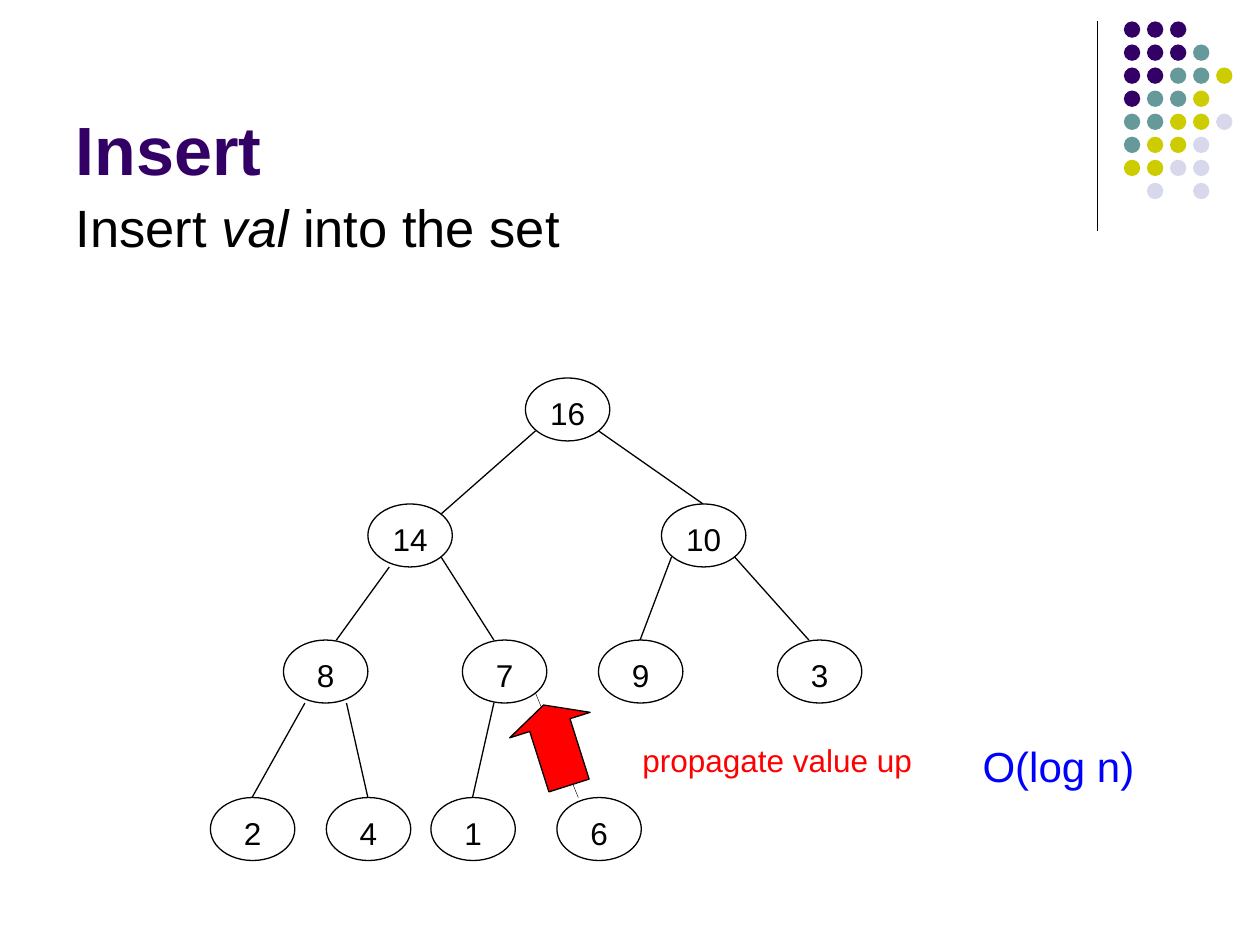
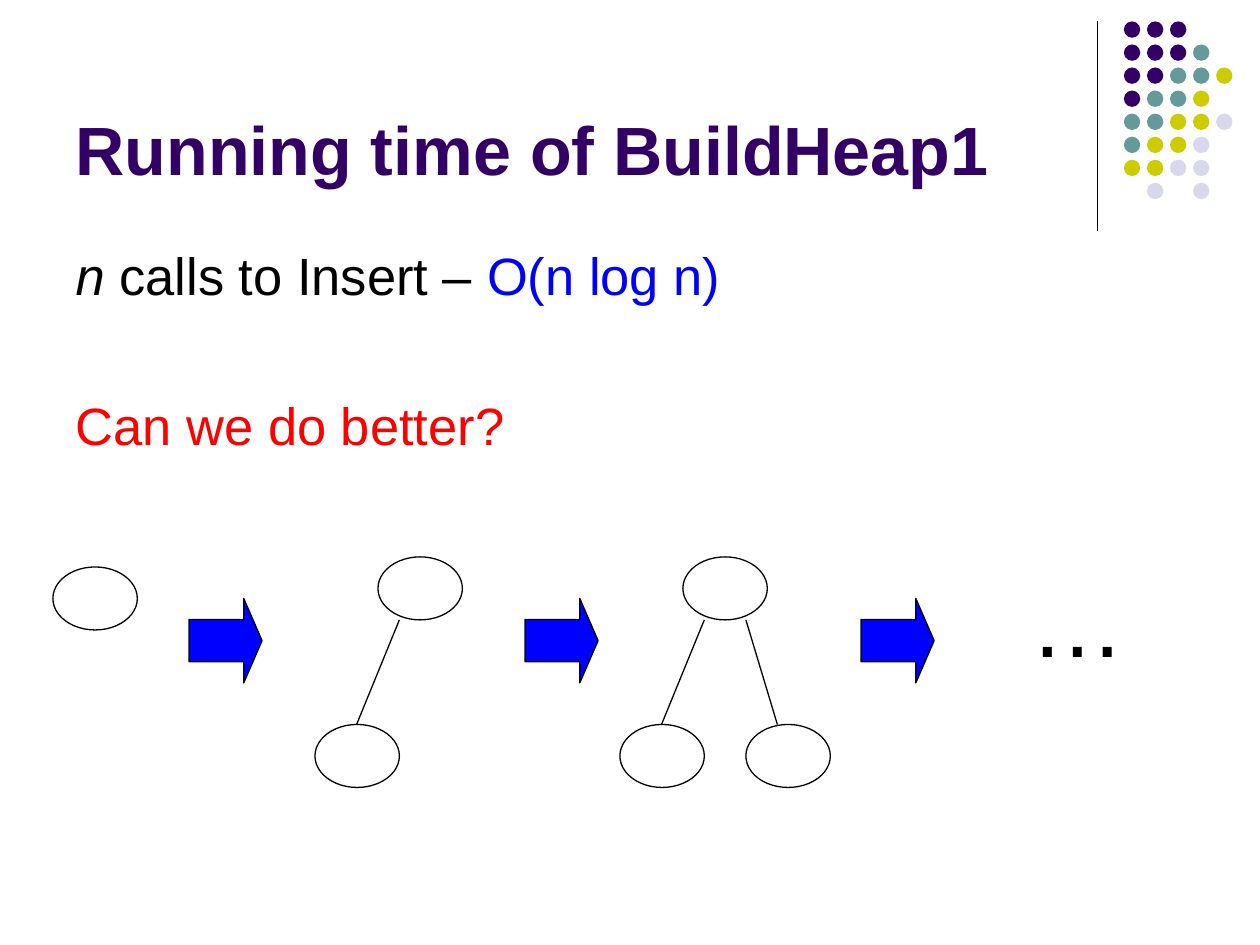
from lxml import etree
from pptx import Presentation
from pptx.dml.color import RGBColor
from pptx.enum.shapes import MSO_CONNECTOR, MSO_SHAPE
from pptx.enum.text import MSO_ANCHOR, MSO_AUTO_SIZE, PP_ALIGN
from pptx.oxml.ns import qn
from pptx.util import Inches, Pt

STRAIGHT = MSO_CONNECTOR.STRAIGHT
ELLIPSE = MSO_SHAPE.OVAL
RIGHT_ARROW = MSO_SHAPE.RIGHT_ARROW
UP_ARROW = MSO_SHAPE.UP_ARROW
TOP, MIDDLE, BOTTOM = MSO_ANCHOR.TOP, MSO_ANCHOR.MIDDLE, MSO_ANCHOR.BOTTOM
LEFT, CENTER = PP_ALIGN.LEFT, PP_ALIGN.CENTER
FIXED_SIZE = MSO_AUTO_SIZE.NONE

FONT = "Arial"
BLACK = RGBColor(0x00, 0x00, 0x00)
PURPLE = RGBColor(0x33, 0x00, 0x66)
TEAL = RGBColor(0x66, 0x99, 0x99)
OLIVE = RGBColor(0xCC, 0xCC, 0x00)
LAVENDER = RGBColor(0xD8, 0xD8, 0xEC)
RED = RGBColor(0xFF, 0x00, 0x00)
BLUE = RGBColor(0x00, 0x00, 0xFF)

DOT_COLORS = {"P": PURPLE, "T": TEAL, "O": OLIVE, "L": LAVENDER}
DOT_ROWS = ["PPP", "PPPT", "PPTTO", "PTTO", "TTOOL", "TOOL", "OOLL", " L L"]
DOT_PITCH = 0.183
DOT_SIZE = 0.13

NODE_WIDTH, NODE_HEIGHT = 0.67, 0.5
LOWER_LEFT, LOWER_RIGHT = (0.08, 0.42), (0.58, 0.42)
BOTTOM_LEFT, BOTTOM_INNER, BOTTOM_RIGHT = (0.17, 0.5), (0.25, 0.5), (0.5, 0.5)
TOP_OUTER, TOP_LEFT, TOP_MIDDLE, TOP_RIGHT = (0.17, 0), (0.25, 0), (0.33, 0), (0.42, 0)
UPPER_RIGHT = (0.58, 0.08)

HEAP_NODES = {
    "16": (2.5, 0),
    "14": (1.25, 1), "10": (3.58, 1),
    "8": (0.58, 2.08), "7": (2, 2.08), "9": (3.08, 2.08), "3": (4.5, 2.08),
    "2": (0, 3.33), "4": (0.92, 3.33), "1": (1.75, 3.33), "6": (2.75, 3.33),
}
HEAP_EDGES = [
    ("16", LOWER_LEFT, "14", UPPER_RIGHT),
    ("16", LOWER_RIGHT, "10", TOP_MIDDLE),
    ("14", BOTTOM_LEFT, "8", TOP_RIGHT),
    ("14", LOWER_RIGHT, "7", TOP_LEFT),
    ("10", LOWER_LEFT, "9", TOP_MIDDLE),
    ("10", LOWER_RIGHT, "3", TOP_LEFT),
    ("8", BOTTOM_LEFT, "2", TOP_MIDDLE),
    ("8", BOTTOM_RIGHT, "4", TOP_MIDDLE),
    ("7", BOTTOM_INNER, "1", TOP_MIDDLE),
]
INSERTED_EDGES = [("7", LOWER_RIGHT, "6", TOP_OUTER)]

GROWING_NODES = {"root": (0, 0), "left": (-0.5, 1.33), "right": (0.5, 1.33)}
GROWING_EDGES = [
    ("root", BOTTOM_LEFT, "left", TOP_MIDDLE),
    ("root", BOTTOM_RIGHT, "right", TOP_LEFT),
]
GROWTH_STAGES = [(0, 0.08), (2.58, 0), (5, 0)]


def set_font(paragraph, size, color=BLACK, bold=False):
    font = paragraph.font
    font.name = FONT
    font.size = Pt(size)
    font.bold = bold
    font.color.rgb = color


def add_line(slide, start, end, width=0.75):
    line = slide.shapes.add_connector(STRAIGHT, *map(Inches, start + end))
    line.line.color.rgb = BLACK
    line.line.width = Pt(width)
    etree.SubElement(line._element.spPr, qn("a:effectLst"))


def add_figure(slide, kind, box, fill=None, outlined=True):
    figure = slide.shapes.add_shape(kind, *map(Inches, box))
    figure.shadow.inherit = False
    if fill is None:
        figure.fill.background()
    else:
        figure.fill.solid()
        figure.fill.fore_color.rgb = fill
    if outlined:
        figure.line.color.rgb = BLACK
        figure.line.width = Pt(0.75)
    else:
        figure.line.fill.background()
    return figure


def add_arrow(slide, kind, box, color):
    arrow = add_figure(slide, kind, box, color)
    arrow.adjustments[0] = 0.5
    arrow.adjustments[1] = 0.25
    return arrow


def add_label(slide, box, text, size, color, wrap=True):
    frame = slide.shapes.add_textbox(*map(Inches, box)).text_frame
    frame.word_wrap = wrap
    paragraph = frame.paragraphs[0]
    paragraph.text = text
    set_font(paragraph, size, color)


def add_corner_dots(slide, left, top):
    add_line(slide, (left, top), (left, top + 1.66))
    for row, codes in enumerate(DOT_ROWS):
        for column, code in enumerate(codes):
            if code in DOT_COLORS:
                box = (left + 0.21 + column * DOT_PITCH, top + row * DOT_PITCH,
                       DOT_SIZE, DOT_SIZE)
                add_figure(slide, ELLIPSE, box, DOT_COLORS[code], outlined=False)


def place(placeholder, box, anchor):
    placeholder.left, placeholder.top, placeholder.width, placeholder.height = map(Inches, box)
    frame = placeholder.text_frame
    frame.auto_size = FIXED_SIZE
    frame.vertical_anchor = anchor
    return frame


def fill_title(slide, text):
    frame = place(slide.shapes.title, (0.5, 0.13, 8.25, 1.42), BOTTOM)
    paragraph = frame.paragraphs[0]
    paragraph.text = text
    paragraph.alignment = LEFT
    set_font(paragraph, 39, PURPLE, bold=True)


def fill_body(slide, box, statements, gap=0):
    frame = place(slide.placeholders[1], box, TOP)
    for index, (color, pieces) in enumerate(statements):
        paragraph = frame.add_paragraph() if index else frame.paragraphs[0]
        properties = paragraph._p.get_or_add_pPr()
        properties.set("marL", "0")
        properties.set("indent", "0")
        etree.SubElement(properties, qn("a:buNone"))
        paragraph.space_before = Pt(gap if index else 0)
        set_font(paragraph, 30, color)
        for text, italic, accent in pieces:
            run = paragraph.add_run()
            run.text = text
            if italic:
                run.font.italic = True
            if accent is not None:
                run.font.color.rgb = accent


def add_node(slide, left, top, value=""):
    node = add_figure(slide, ELLIPSE, (left, top, NODE_WIDTH, NODE_HEIGHT))
    if value:
        frame = node.text_frame
        frame.word_wrap = False
        frame.vertical_anchor = MIDDLE
        frame.margin_left = frame.margin_right = frame.margin_bottom = 0
        frame.margin_top = Inches(0.06)
        paragraph = frame.paragraphs[0]
        paragraph.text = value
        paragraph.alignment = CENTER
        set_font(paragraph, 18)


def add_edges(slide, left, top, nodes, edges, width=0.75):
    def point(node, anchor):
        x, y = nodes[node]
        return left + x + anchor[0], top + y + anchor[1]

    for parent, leaving, child, entering in edges:
        add_line(slide, point(parent, leaving), point(child, entering), width)


def add_heap(slide, left, top):
    add_edges(slide, left, top, HEAP_NODES, HEAP_EDGES)
    add_edges(slide, left, top, HEAP_NODES, INSERTED_EDGES, width=0.25)
    for value, (x, y) in HEAP_NODES.items():
        add_node(slide, left + x, top + y, value)
    propagation = add_arrow(slide, UP_ARROW, (left + 2.41, top + 2.58, 0.67, 0.67), RED)
    propagation.rotation = 342.4
    add_label(slide, (left + 3.33, top + 2.83, 2.75, 0.4), "propagate value up", 18, RED)
    add_label(slide, (left + 6.03, top + 2.83, 1.42, 0.5), "O(log n)", 24, BLUE, wrap=False)


def add_growth(slide, left, top):
    for stage, (x, y) in enumerate(GROWTH_STAGES):
        root_left, root_top = left + x, top + y
        add_edges(slide, root_left, root_top, GROWING_NODES, GROWING_EDGES[:stage])
        for node_x, node_y in list(GROWING_NODES.values())[:stage + 1]:
            add_node(slide, root_left + node_x, root_top + node_y)
        arrow_left = left + 1.08 + stage * 2.667
        add_arrow(slide, RIGHT_ARROW, (arrow_left, top + 0.33, 0.58, 0.67), BLUE)
    add_label(slide, (left + 7.66, top, 1.08, 1), "…", 54, BLACK)


def start_slide(deck, title):
    slide = deck.slides.add_slide(deck.slide_layouts[1])
    add_corner_dots(slide, 8.71, 0.17)
    fill_title(slide, title)
    return slide


def build_insert(deck):
    slide = start_slide(deck, "Insert")
    fill_body(slide, (0.5, 1.5, 9, 0.75), [
        (BLACK, [("Insert ", False, None), ("val", True, None), (" into the set", False, None)]),
    ])
    add_heap(slide, 1.67, 3)


def build_running_time(deck):
    slide = start_slide(deck, "Running time of BuildHeap1")
    fill_body(slide, (0.5, 1.88, 9, 4.82), [
        (BLACK, [("n", True, None), (" calls to Insert – ", False, None),
                 ("O(n log n)", False, BLUE)]),
        (RED, [("Can we do better?", False, None)]),
    ], gap=49.5)
    add_growth(slide, 0.42, 4.42)


def main():
    deck = Presentation()
    deck.slide_width = Inches(10)
    deck.slide_height = Inches(7.5)
    build_insert(deck)
    build_running_time(deck)
    deck.save("out.pptx")


if __name__ == "__main__":
    main()
